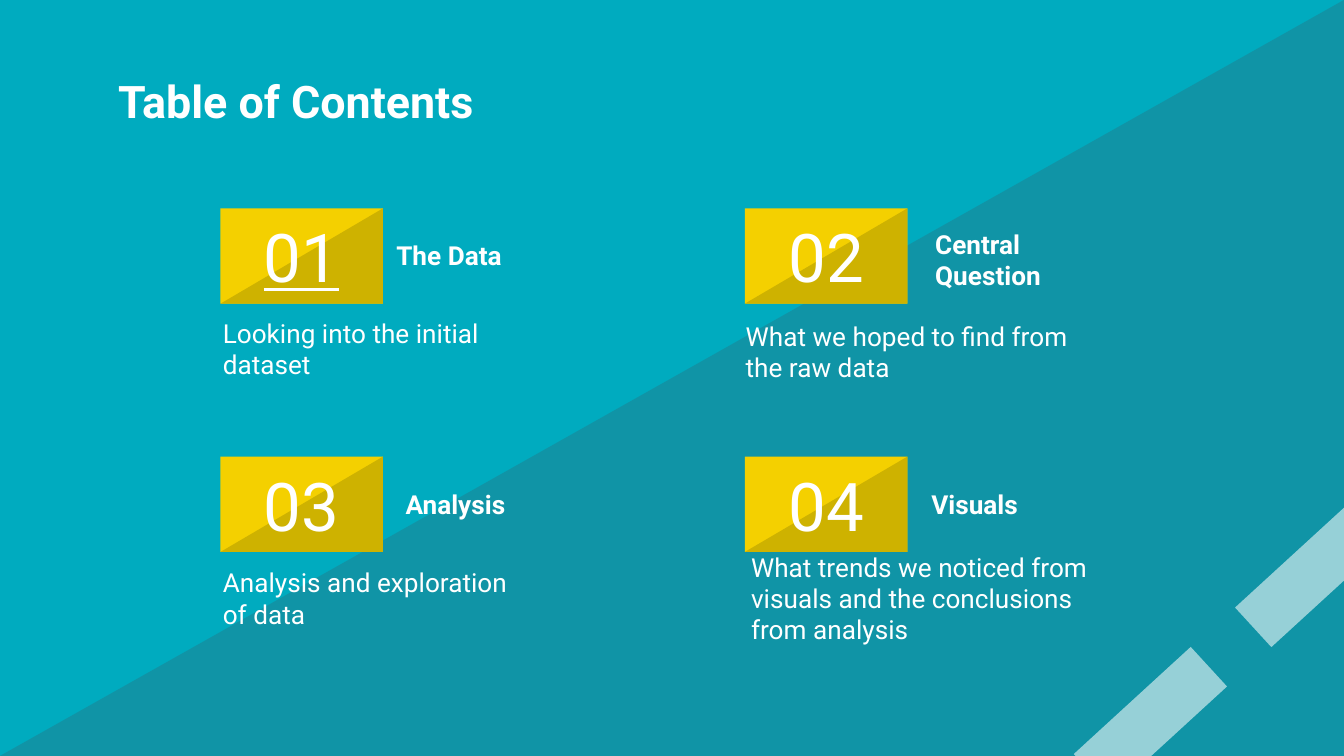
import pptx
import pptx.dml.color
import pptx.enum.shapes
import pptx.enum.text
import pptx.oxml
import pptx.oxml.ns
import pptx.util

Pt = pptx.util.Pt
SHAPES = pptx.enum.shapes.MSO_SHAPE
ANCHOR = pptx.enum.text.MSO_ANCHOR
ALIGN = pptx.enum.text.PP_ALIGN

WIDTH, HEIGHT = 720, 405
WHITE, TEAL, SHADE = "FFFFFF", "00ABBF", "336574"
YELLOW, DARK_YELLOW = "F4D000", "CEB200"

COLUMNS, ROWS = (118.1, 399), (111.6, 244.6)
BADGE = (87.1, 51.1)
HEADING = (111.6, 50.4)
DESCRIPTION = (203.8, 50.4)

# number, heading, heading position, description paragraphs, position, anchor
TOPICS = [
    ("01", "The Data", (205.2, 111.6),
     ["Looking into the initial", "dataset"], (112.3, 162.7), ANCHOR.TOP),
    ("02", "Central Question", (493.9, 113.8),
     ["What we hoped to find from the raw data"], (392.4, 164.2), ANCHOR.TOP),
    ("03", "Analysis", (210.2, 244.8),
     ["Analysis and exploration \nof data"], (112.3, 295.2), ANCHOR.MIDDLE),
    ("04", "Visuals", (491.8, 244.8),
     ["What trends we noticed from visuals and the conclusions from analysis"],
     (395.3, 295.2), ANCHOR.MIDDLE),
]


def rgb(color):
    return pptx.dml.color.RGBColor.from_string(color)


def add_block(slide, kind, position, size, color, opacity=100, rotation=0):
    """Add a borderless filled shape, with its opacity in percent."""
    block = slide.shapes.add_shape(kind, *map(Pt, position + size))
    block.shadow.inherit = False
    block.fill.solid()
    block.fill.fore_color.rgb = rgb(color)
    block.line.fill.background()
    block.rotation = rotation
    if opacity < 100:
        color_node = block.fill._xPr.find(".//" + pptx.oxml.ns.qn("a:srgbClr"))
        alpha = pptx.oxml.parse_xml(
            f'<a:alpha {pptx.oxml.ns.nsdecls("a")} val="{opacity * 1000}"/>')
        color_node.append(alpha)
    return block


def add_corner(slide, position, size, color, opacity=100):
    """Add a right triangle with its right angle at the lower right."""
    corner = add_block(slide, SHAPES.RIGHT_TRIANGLE, position, size, color, opacity)
    corner._element.spPr.xfrm.set("flipH", "1")


def add_text(slide, paragraphs, position, size, points, bold=False,
             underline=None, anchor=ANCHOR.MIDDLE, align=ALIGN.LEFT):
    frame = slide.shapes.add_textbox(*map(Pt, position + size)).text_frame
    frame.word_wrap = True
    frame.vertical_anchor = anchor
    frame.margin_left = frame.margin_right = Pt(7.2)
    frame.margin_top = frame.margin_bottom = Pt(7.2)
    for index, text in enumerate(paragraphs):
        paragraph = frame.add_paragraph() if index else frame.paragraphs[0]
        paragraph.text = text
        paragraph.alignment = align
        for run in paragraph.runs:
            run.font.name = "Roboto"
            run.font.size = Pt(points)
            run.font.bold = bold
            run.font.underline = underline
            run.font.color.rgb = rgb(WHITE)


def add_backdrop(slide):
    slide.background.fill.solid()
    slide.background.fill.fore_color.rgb = rgb(TEAL)
    add_corner(slide, (0, 0), (WIDTH, HEIGHT), SHADE, 32)
    for position in ((573.8, 371.5), (660.2, 293)):
        add_block(slide, SHAPES.RECTANGLE, position, (85, 28.8), WHITE, 56, 317.5)


def add_badge(slide, number, position):
    add_block(slide, SHAPES.RECTANGLE, position, BADGE, YELLOW)
    add_corner(slide, position, BADGE, DARK_YELLOW)
    add_text(slide, [number], position, BADGE, 36,
             underline=True if number == "01" else None, align=ALIGN.CENTER)


def main():
    deck = pptx.Presentation()
    deck.slide_width, deck.slide_height = Pt(WIDTH), Pt(HEIGHT)
    slide = deck.slides.add_slide(deck.slide_layouts[6])
    add_backdrop(slide)
    add_text(slide, ["Table of Contents"], (56.2, 31), (607.7, 45.4), 24, bold=True)
    for index, topic in enumerate(TOPICS):
        number, heading, heading_at, description, description_at, anchor = topic
        row, column = divmod(index, 2)
        add_badge(slide, number, (COLUMNS[column], ROWS[row]))
        add_text(slide, [heading], heading_at, HEADING, 14, bold=True)
        add_text(slide, description, description_at, DESCRIPTION, 14, anchor=anchor)
    deck.save("out.pptx")


if __name__ == "__main__":
    main()
